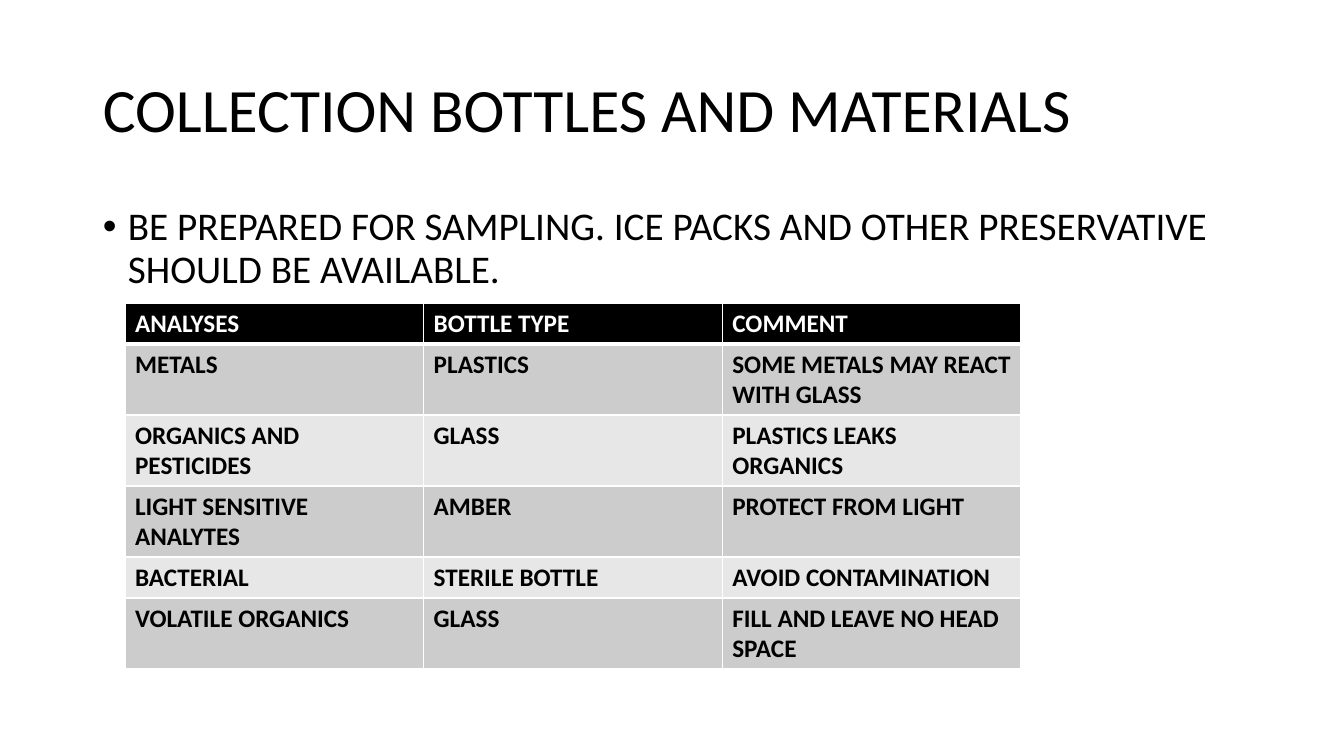
from lxml import etree
from pptx import Presentation
from pptx.dml.color import RGBColor
from pptx.enum.text import MSO_ANCHOR
from pptx.oxml.ns import qn
from pptx.util import Pt

TOP, MID = MSO_ANCHOR.TOP, MSO_ANCHOR.MIDDLE
SCALE = 914400 / 100.8
FONT = "Calibri"
HUES = {"ink": "000000", "page": "FFFFFF", "dark": "CCCCCC", "pale": "E7E7E7"}
ROWS = [
    ("ANALYSES", "BOTTLE TYPE", "COMMENT"),
    ("METALS", "PLASTICS", "SOME METALS MAY REACT WITH GLASS"),
    ("ORGANICS AND PESTICIDES", "GLASS", "PLASTICS LEAKS ORGANICS"),
    ("LIGHT SENSITIVE ANALYTES", "AMBER", "PROTECT FROM LIGHT"),
    ("BACTERIAL", "STERILE BOTTLE", "AVOID CONTAMINATION"),
    ("VOLATILE ORGANICS", "GLASS", "FILL AND LEAVE NO HEAD SPACE"),
]
HEIGHTS = [41, 71, 71, 71, 41, 71]


def px(n):
    return round(n * SCALE)


def hue(name):
    return RGBColor.from_string(HUES[name])


def write(frame, text, size=18, color="ink", bold=False, lead=None, gap=0,
          bullet=None, dent=25):
    para = frame.paragraphs[0]
    para.line_spacing = lead
    para.space_before = Pt(gap)
    run = para.add_run()
    run.text = text
    run.font.name, run.font.size, run.font.bold = FONT, Pt(size), bold
    run.font.color.rgb = hue(color)
    if bullet:
        props = para._p.get_or_add_pPr()
        props.set("marL", str(px(dent)))
        props.set("indent", str(-px(dent)))
        etree.SubElement(props, qn("a:buFont"), typeface="Arial")
        etree.SubElement(props, qn("a:buChar"), char=bullet)


def add_text(slide, box, text, anchor=TOP, **style):
    frame = slide.shapes.add_textbox(*map(px, box)).text_frame
    frame.word_wrap = True
    frame.vertical_anchor = anchor
    write(frame, text, lead=0.9, **style)


def edge(cell, side, width):
    line = etree.SubElement(cell._tc.get_or_add_tcPr(), qn("a:ln" + side),
                            w=str(Pt(width)))
    fill = etree.SubElement(line, qn("a:solidFill"))
    etree.SubElement(fill, qn("a:srgbClr"), val=HUES["page"])


def add_grid(slide, box):
    grid = slide.shapes.add_table(len(ROWS), len(ROWS[0]), *map(px, box)).table
    for col in grid.columns:
        col.width = px(box[2] / len(ROWS[0]))
    for r, (texts, height) in enumerate(zip(ROWS, HEIGHTS)):
        grid.rows[r].height = px(height)
        head = r == 0
        shade = "ink" if head else "dark" if r % 2 else "pale"
        for c, text in enumerate(texts):
            cell = grid.cell(r, c)
            # Borders go before the fill in the cell's XML
            for side in "LRTB":
                thick = (head and side == "B") or (r == 1 and side == "T")
                edge(cell, side, 3 if thick else 1)
            cell.fill.solid()
            cell.fill.fore_color.rgb = hue(shade)
            write(cell.text_frame, text, bold=True,
                  color="page" if head else "ink")


def add_page(deck, box):
    slide = deck.slides.add_slide(deck.slide_layouts[6])
    x, y, w, h = box
    # Title
    add_text(slide, (x, y, w, 146), "COLLECTION BOTTLES AND MATERIALS",
             anchor=MID, size=44)
    # Advice
    add_text(slide, (x, y + 162, w, h - 162),
             "BE PREPARED FOR SAMPLING. ICE PACKS AND OTHER PRESERVATIVE "
             "SHOULD BE AVAILABLE.", size=28, gap=10, bullet="•")
    # Bottle table
    add_grid(slide, (x + 32, y + 263, 896, sum(HEIGHTS)))


deck = Presentation()
deck.slide_width, deck.slide_height = px(1344), px(756)
add_page(deck, (93, 40, 1159, 642))
deck.save("out.pptx")
